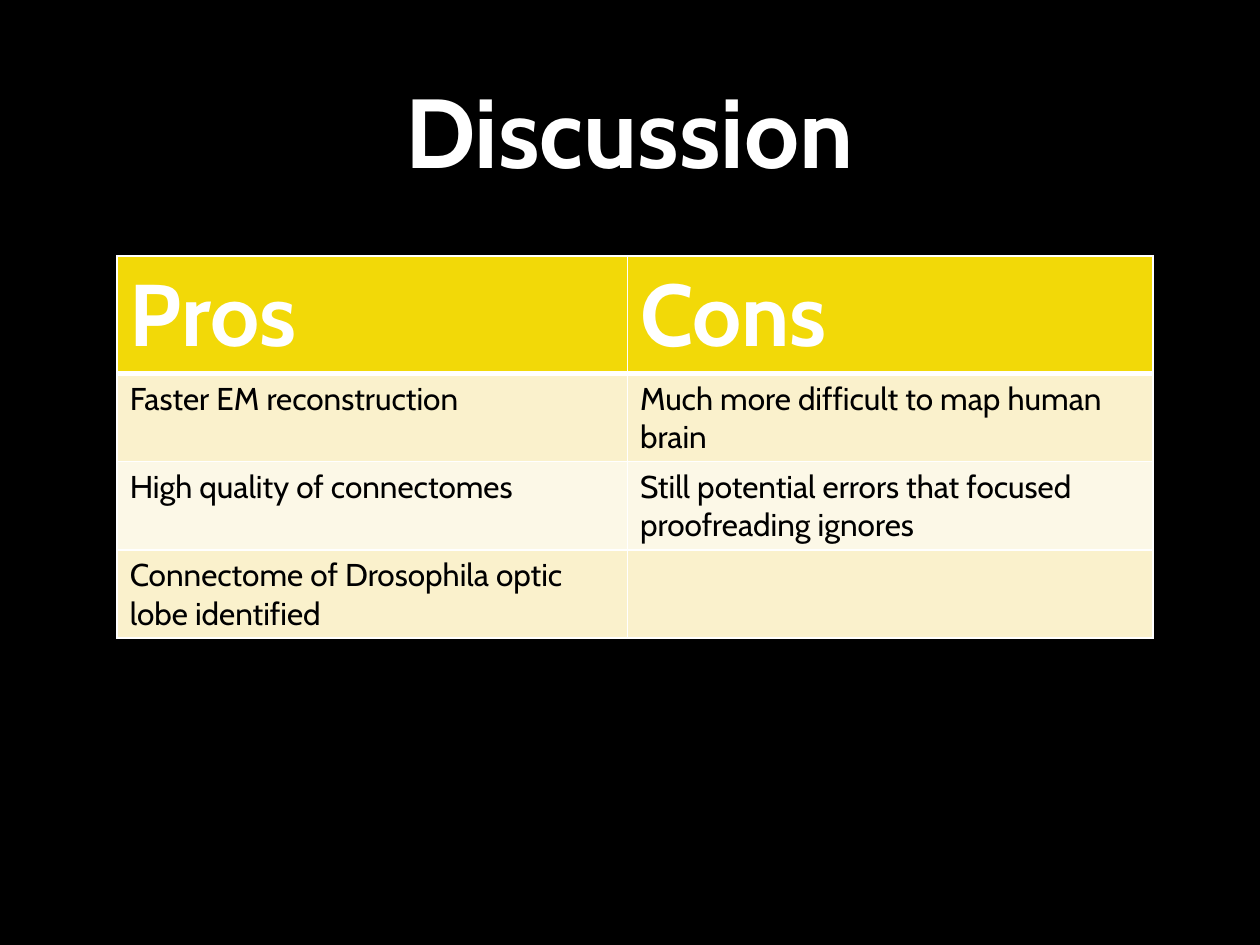
from lxml.etree import SubElement
from pptx import Presentation
from pptx.dml.color import RGBColor
from pptx.enum.text import MSO_ANCHOR, PP_ALIGN
from pptx.oxml.ns import qn
from pptx.util import Inches, Pt

# Content
TITLE = "Discussion"
ROWS = [
    ("Pros", "Cons"),
    ("Faster EM reconstruction", "Much more difficult to map human brain"),
    ("High quality of connectomes",
     "Still potential errors that focused proofreading ignores"),
    ("Connectome of Drosophila optic lobe identified", ""),
]

# Style and layout
FONT = "Cabin"
COLORS = {
    "background": "000000",
    "light": "FFFFFF",
    "dark": "000000",
    "header": "F2D908",
    "odd": "FAF1CC",
    "even": "FCF8E7",
}
COLUMN_WIDTHS = [4.05, 4.17]
HEADER_HEIGHT, BODY_HEIGHT = 0.93, 0.7


def color(name):
    return RGBColor.from_string(COLORS[name])


def style_font(font, size, color_name, bold):
    font.name = FONT
    font.size = Pt(size)
    font.bold = bold
    font.color.rgb = color(color_name)


def add_text(paragraph, text, size, color_name, bold):
    if not text:
        style_font(paragraph.font, size, color_name, bold)
        return
    run = paragraph.add_run()
    run.text = text
    style_font(run.font, size, color_name, bold)


def set_borders(cell, widths):
    properties = cell._tc.get_or_add_tcPr()
    for side, width in widths.items():
        line = SubElement(properties, qn(f"a:ln{side}"), w=str(Pt(width)))
        fill = SubElement(line, qn("a:solidFill"))
        SubElement(fill, qn("a:srgbClr"), val=COLORS["light"])


presentation = Presentation()
presentation.slide_width = Inches(10)
presentation.slide_height = Inches(7.5)
slide = presentation.slides.add_slide(presentation.slide_layouts[6])
slide.background.fill.solid()
slide.background.fill.fore_color.rgb = color("background")

# Title
title_box = slide.shapes.add_textbox(
    Inches(0.85), Inches(0.12), Inches(8.29), Inches(1.81))
frame = title_box.text_frame
frame.word_wrap = True
frame.vertical_anchor = MSO_ANCHOR.MIDDLE
frame.paragraphs[0].alignment = PP_ALIGN.CENTER
add_text(frame.paragraphs[0], TITLE, 56, "light", True)

# Pros and cons table
row_heights = [HEADER_HEIGHT] + [BODY_HEIGHT] * (len(ROWS) - 1)
table = slide.shapes.add_table(
    len(ROWS), len(COLUMN_WIDTHS), Inches(0.93), Inches(2.03),
    Inches(sum(COLUMN_WIDTHS)), Inches(sum(row_heights))).table
for column, width in zip(table.columns, COLUMN_WIDTHS):
    column.width = Inches(width)

for row_index, (texts, height) in enumerate(zip(ROWS, row_heights)):
    table.rows[row_index].height = Inches(height)
    is_header = row_index == 0
    fill_name = "header" if is_header else "odd" if row_index % 2 else "even"
    text_style = (50, "light", True) if is_header else (18, "dark", False)
    borders = {"L": 1, "R": 1,
               "T": 3 if row_index == 1 else 1,
               "B": 3 if is_header else 1}
    for column_index, text in enumerate(texts):
        cell = table.cell(row_index, column_index)
        set_borders(cell, borders)
        cell.fill.solid()
        cell.fill.fore_color.rgb = color(fill_name)
        add_text(cell.text_frame.paragraphs[0], text, *text_style)

presentation.save("out.pptx")
